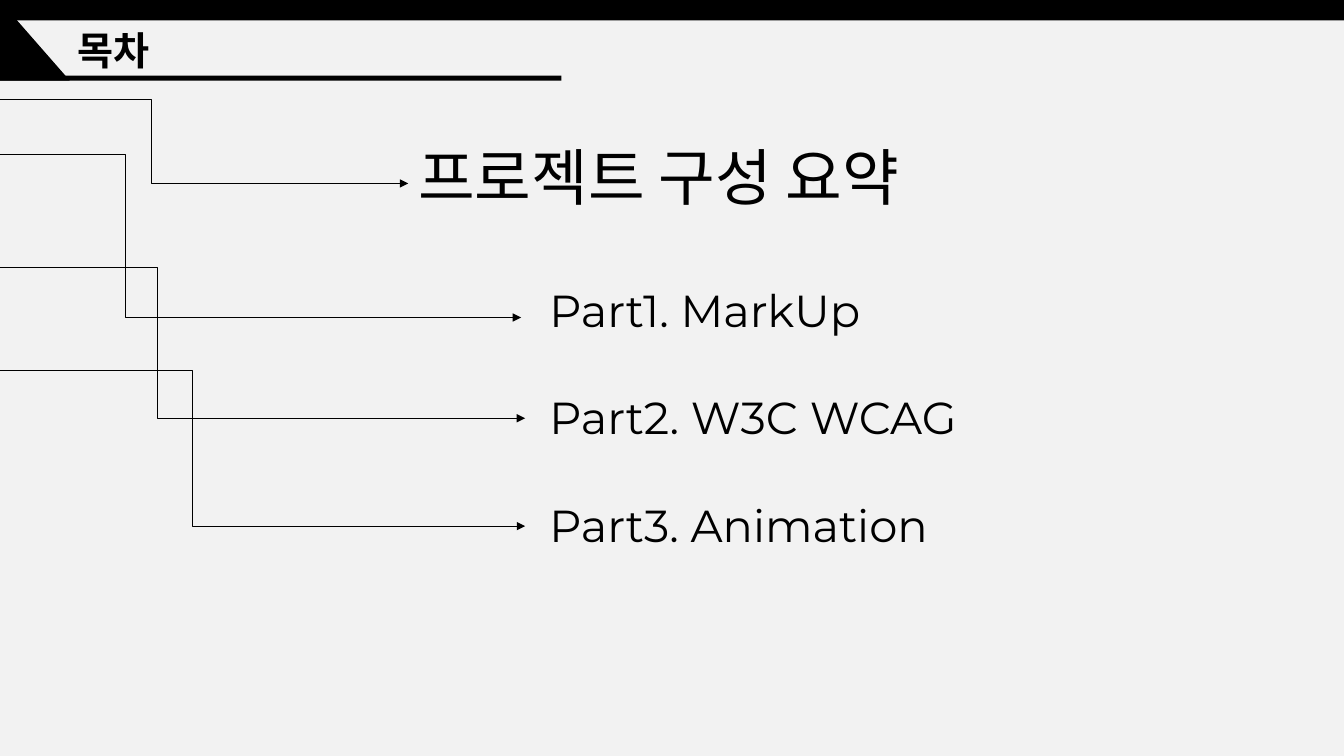
from dataclasses import dataclass

from lxml.etree import SubElement
from pptx import Presentation
from pptx.dml.color import RGBColor
from pptx.enum.shapes import MSO_CONNECTOR, MSO_SHAPE
from pptx.enum.text import MSO_ANCHOR, MSO_AUTO_SIZE, PP_ALIGN
from pptx.oxml.ns import qn
from pptx.slide import Slide
from pptx.util import Pt

INK = "000000"
PAPER = "F2F2F2"
KOREAN_FONT = "Noto Sans CJK KR"
LATIN_FONT = "Montserrat"


@dataclass
class Block:
    geometry: MSO_SHAPE
    left: float
    top: float
    width: float
    height: float


@dataclass
class Arrow:
    start_x: float
    start_y: float
    bend_x: float
    end_x: float
    end_y: float


@dataclass
class TextStyle:
    font: str
    size: float
    bold: bool = False
    gap: float = 0


HEADER_BLOCKS = [
    Block(MSO_SHAPE.RECTANGLE, -16.5, 54, 417.6, 3.6),
    Block(MSO_SHAPE.ISOSCELES_TRIANGLE, -51, 0, 100.8, 57.6),
    Block(MSO_SHAPE.RECTANGLE, -3, -6.5, 1004.4, 21),
]
ARROWS = [
    Arrow(-75.6, 71, 108, 291.6, 131),
    Arrow(-75.6, 110.2, 89.6, 372.2, 226.8),
    Arrow(-88.6, 190.8, 112.4, 375.1, 298.8),
    Arrow(-99.4, 264.2, 137.6, 375.1, 375.8),
]
PARTS = ["Part1. MarkUp", "Part2. W3C WCAG", "Part3. Animation"]


def color(value: str) -> RGBColor:
    return RGBColor.from_string(value)


def add_block(slide: Slide, block: Block) -> None:
    shape = slide.shapes.add_shape(
        block.geometry, Pt(block.left), Pt(block.top), Pt(block.width), Pt(block.height)
    )
    shape.shadow.inherit = False
    shape.fill.solid()
    shape.fill.fore_color.rgb = color(INK)
    shape.line.fill.background()


def add_arrow(slide: Slide, arrow: Arrow) -> None:
    connector = slide.shapes.add_connector(
        MSO_CONNECTOR.ELBOW,
        Pt(arrow.start_x), Pt(arrow.start_y), Pt(arrow.end_x), Pt(arrow.end_y),
    )
    connector.line.color.rgb = color(INK)
    connector.line.width = Pt(0.5)

    # Bend position, arrowhead and no shadow
    properties = connector._element.spPr
    bend = (arrow.bend_x - arrow.start_x) / (arrow.end_x - arrow.start_x)
    adjustments = properties.find(qn("a:prstGeom")).get_or_add_avLst()
    SubElement(adjustments, qn("a:gd"), name="adj1", fmla=f"val {round(bend * 100000)}")
    SubElement(properties.find(qn("a:ln")), qn("a:tailEnd"), type="triangle")
    SubElement(properties, qn("a:effectLst"))


def place(shape, left: float, top: float, width: float, height: float) -> None:
    shape.left, shape.top = Pt(left), Pt(top)
    shape.width, shape.height = Pt(width), Pt(height)


def write(shape, lines: list[str], style: TextStyle) -> None:
    text_frame = shape.text_frame
    text_frame.text = "\n".join(lines)
    text_frame.word_wrap = True
    text_frame.auto_size = MSO_AUTO_SIZE.NONE
    text_frame.vertical_anchor = MSO_ANCHOR.TOP
    for index, paragraph in enumerate(text_frame.paragraphs):
        paragraph.alignment = PP_ALIGN.LEFT
        paragraph.line_spacing = 1.0
        paragraph.space_before = Pt(style.gap if index else 0)
        paragraph_properties = paragraph._p.get_or_add_pPr()
        paragraph_properties.set("marL", "0")
        paragraph_properties.set("indent", "0")
        SubElement(paragraph_properties, qn("a:buNone"))
        for run in paragraph.runs:
            run.font.name = style.font
            run.font.size = Pt(style.size)
            run.font.bold = style.bold
            run.font.color.rgb = color(INK)
            SubElement(run.font._element, qn("a:ea"), typeface=style.font)


def main() -> None:
    presentation = Presentation()
    presentation.slide_width = Pt(960)
    presentation.slide_height = Pt(540)
    slide = presentation.slides.add_slide(presentation.slide_layouts[1])
    slide.background.fill.solid()
    slide.background.fill.fore_color.rgb = color(PAPER)

    # Header
    for block in HEADER_BLOCKS:
        add_block(slide, block)
    title = slide.shapes.title
    place(title, 48.2, 15.1, 274.3, 41)
    write(title, ["목차"], TextStyle(KOREAN_FONT, 28, bold=True))

    # Arrows leading to the entries
    for arrow in ARROWS:
        add_arrow(slide, arrow)

    # Summary heading and list of parts
    heading = slide.shapes.add_textbox(Pt(291.6), Pt(95.8), Pt(483.1), Pt(60.5))
    write(heading, ["프로젝트 구성 요약"], TextStyle(KOREAN_FONT, 44))
    contents = slide.placeholders[1]
    place(contents, 385.2, 198, 366.5, 200.9)
    write(contents, PARTS, TextStyle(LATIN_FONT, 32, gap=38.4))

    presentation.save("out.pptx")


if __name__ == "__main__":
    main()
